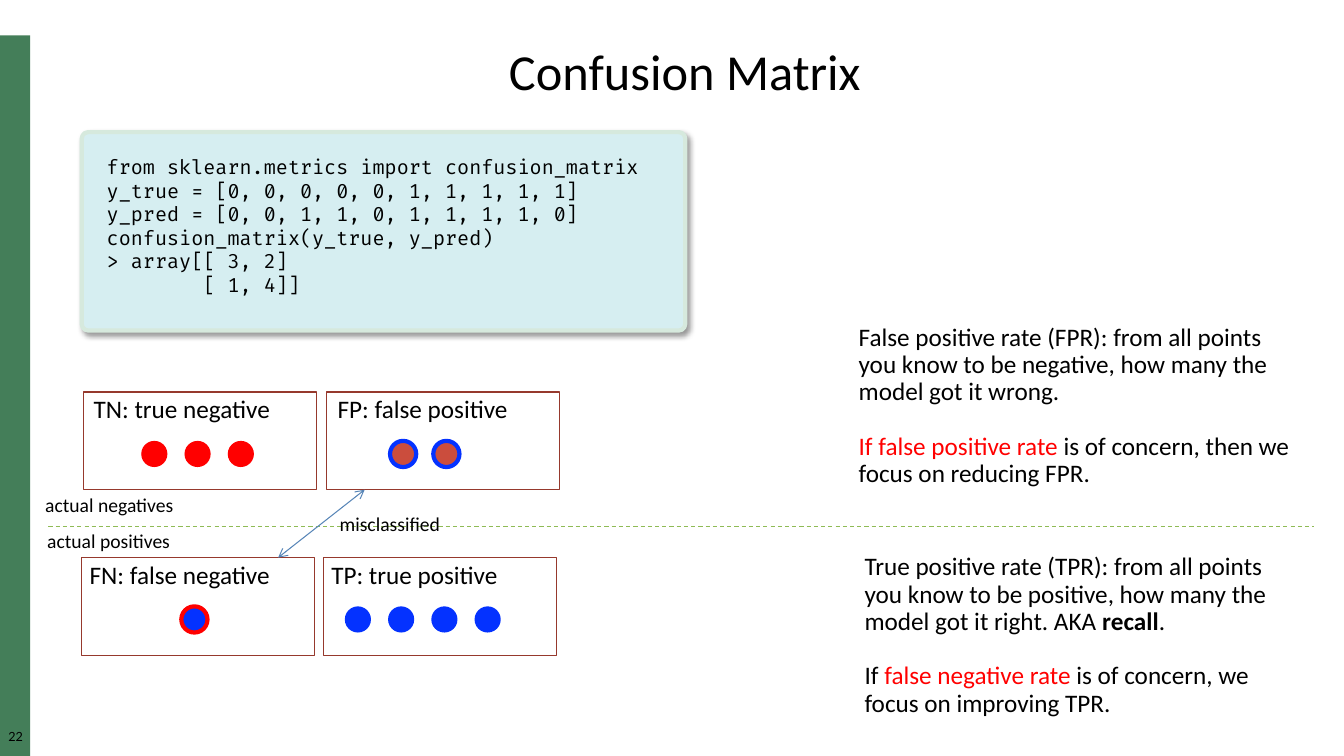
"""Build the confusion matrix slide."""
from dataclasses import dataclass

from lxml.etree import SubElement
from pptx import Presentation
from pptx.dml.color import RGBColor
from pptx.enum.dml import MSO_LINE
from pptx.enum.shapes import MSO_CONNECTOR, MSO_SHAPE
from pptx.enum.text import MSO_ANCHOR, PP_ALIGN
from pptx.oxml.ns import qn
from pptx.util import Cm, Pt


@dataclass(frozen=True)
class Theme:
    black: str = "000000"
    red: str = "FF0000"
    blue: str = "0432FF"
    brick: str = "CB4D3D"
    side_bar: str = "447E59"
    code_fill: str = "D6EEF1"
    code_edge: str = "D6E9DD"
    cell_edge: str = "96392D"
    divider: str = "8FBB55"
    arrow: str = "5785B7"
    body_font: str = "Calibri"
    code_font: str = "Fira Code"
    number_font: str = "Lato"
    title_size: float = 36
    body_size: float = 18
    small_size: float = 14
    number_size: float = 9
    paragraph_gap: float = 19.5
    thick: float = 3
    thin: float = 0.75
    cell_line: float = 0.85


@dataclass(frozen=True)
class Box:
    left: float
    top: float
    width: float
    height: float

    def lengths(self) -> tuple:
        return Cm(self.left), Cm(self.top), Cm(self.width), Cm(self.height)


@dataclass(frozen=True)
class Phrase:
    text: str
    color: str = Theme.black
    bold: bool = False


@dataclass(frozen=True)
class Outcome:
    label: str
    left: float
    top: float
    label_shift: float
    first_dot: float
    dots: int
    dot_fill: str
    dot_edge: str | None = None


@dataclass(frozen=True)
class Note:
    text: str
    left: float
    top: float


@dataclass(frozen=True)
class Rate:
    box: Box
    paragraphs: tuple[tuple[Phrase, ...], ...]


THEME = Theme()
CELL_WIDTH, CELL_HEIGHT = 5.87, 2.46
DOT_SIZE, DOT_PITCH, DOT_DROP = 0.66, 1.09, 1.23
CODE = """from sklearn.metrics import confusion_matrix
y_true = [0, 0, 0, 0, 0, 1, 1, 1, 1, 1]
y_pred = [0, 0, 1, 1, 0, 1, 1, 1, 1, 0]
confusion_matrix(y_true, y_pred)
> array[[ 3, 2]
        [ 1, 4]]"""
OUTCOMES = (
    Outcome("TN: true negative", 2.11, 9.88, 0, 3.56, 3, THEME.red),
    Outcome("FP: false positive", 8.23, 9.88, 0.03, 9.83, 2, THEME.brick, THEME.blue),
    Outcome("FN: false negative", 2.06, 14.05, -0.05, 4.57, 1, THEME.blue, THEME.red),
    Outcome("TP: true positive", 8.15, 14.05, -0.05, 8.69, 4, THEME.blue),
)
NOTES = (
    Note("actual negatives", 0.89, 12.37),
    Note("actual positives", 0.94, 13.26),
    Note("misclassified", 8.31, 12.83),
)
RATES = (
    Rate(Box(21.39, 8.05, 11.58, 4.42), (
        (Phrase("False positive rate (FPR): from all points you know to be negative, "
                "how many the model got it wrong."),),
        (Phrase("If false positive rate ", THEME.red),
         Phrase("is of concern, then we focus on reducing FPR.")),
    )),
    Rate(Box(21.54, 13.84, 11.58, 4.42), (
        (Phrase("True positive rate (TPR): from all points you know to be positive, "
                "how many the model got it right. AKA "),
         Phrase("recall", bold=True), Phrase(".")),
        (Phrase("If "), Phrase("false negative rate", THEME.red),
         Phrase(" is of concern, we focus on improving TPR.")),
    )),
)


def style_font(font, size: float, name: str = THEME.body_font,
               color: str = THEME.black, bold: bool = False) -> None:
    font.size, font.name, font.bold = Pt(size), name, bold
    font.color.rgb = RGBColor.from_string(color)


def style_frame(frame, size: float, name: str = THEME.body_font, spacing: float = 0.9,
                align: PP_ALIGN = PP_ALIGN.LEFT) -> None:
    frame.word_wrap = True
    for paragraph in frame.paragraphs:
        paragraph.line_spacing, paragraph.alignment = spacing, align
        for run in paragraph.runs:
            style_font(run.font, size, name)


def add_text(slide, text: str, box: Box, size: float, **style):
    frame = slide.shapes.add_textbox(*box.lengths()).text_frame
    frame.text = text
    style_frame(frame, size, **style)
    return frame


def add_figure(slide, kind: MSO_SHAPE, box: Box, fill: str | None = None,
               edge: str | None = None, weight: float = 0):
    figure = slide.shapes.add_shape(kind, *box.lengths())
    figure.shadow.inherit = False
    if fill:
        figure.fill.solid()
        figure.fill.fore_color.rgb = RGBColor.from_string(fill)
    else:
        figure.fill.background()
    if edge:
        figure.line.color.rgb = RGBColor.from_string(edge)
        figure.line.width = Pt(weight)
    else:
        figure.line.fill.background()
    return figure


def add_line(slide, start: tuple[float, float], end: tuple[float, float], color: str):
    connector = slide.shapes.add_connector(
        MSO_CONNECTOR.STRAIGHT, *(Cm(value) for value in start + end))
    connector.line.color.rgb = RGBColor.from_string(color)
    connector.line.width = Pt(THEME.thin)
    SubElement(connector._element.spPr, qn("a:effectLst"))
    return connector


def add_code(slide) -> None:
    panel = add_figure(slide, MSO_SHAPE.ROUNDED_RECTANGLE, Box(2.06, 3.33, 15.21, 5),
                       THEME.code_fill, THEME.code_edge, THEME.thick)
    panel.adjustments[0] = 0.033
    effects = panel._element.spPr.find(qn("a:effectLst"))
    shadow = SubElement(effects, qn("a:outerShdw"), blurRad=str(Pt(4)), dist=str(Pt(3)),
                        dir="2700000", algn="tl", rotWithShape="0")
    tint = SubElement(shadow, qn("a:srgbClr"), val=THEME.black)
    SubElement(tint, qn("a:alpha"), val="40000")
    add_text(slide, CODE, Box(2.44, 3.78, 14.25, 4.39), THEME.small_size,
             name=THEME.code_font, spacing=1.0)


def add_outcome(slide, outcome: Outcome) -> None:
    add_figure(slide, MSO_SHAPE.RECTANGLE,
               Box(outcome.left, outcome.top, CELL_WIDTH, CELL_HEIGHT),
               edge=THEME.cell_edge, weight=THEME.cell_line)
    add_text(slide, outcome.label,
             Box(outcome.left + outcome.label_shift, outcome.top, 5.4, 0.94),
             THEME.body_size)
    for index in range(outcome.dots):
        dot = Box(outcome.first_dot + index * DOT_PITCH, outcome.top + DOT_DROP,
                  DOT_SIZE, DOT_SIZE)
        add_figure(slide, MSO_SHAPE.OVAL, dot, outcome.dot_fill, outcome.dot_edge,
                   THEME.thick)


def add_rate(slide, rate: Rate) -> None:
    frame = slide.shapes.add_textbox(*rate.box.lengths()).text_frame
    for index, phrases in enumerate(rate.paragraphs):
        paragraph = frame.add_paragraph() if index else frame.paragraphs[0]
        if index:
            paragraph.space_before = Pt(THEME.paragraph_gap)
        for phrase in phrases:
            run = paragraph.add_run()
            run.text = phrase.text
    style_frame(frame, THEME.body_size)
    for paragraph, phrases in zip(frame.paragraphs, rate.paragraphs):
        for run, phrase in zip(paragraph.runs, phrases):
            style_font(run.font, THEME.body_size, color=phrase.color, bold=phrase.bold)


def main() -> None:
    deck = Presentation()
    deck.slide_width, deck.slide_height = Cm(33.87), Cm(19.05)
    slide = deck.slides.add_slide(deck.slide_layouts[5])

    title = slide.shapes.title
    title.left, title.top, title.width, title.height = Box(1.4, 1.04, 31.72, 1.68).lengths()
    title.text_frame.text = "Confusion Matrix"
    title.text_frame.vertical_anchor = MSO_ANCHOR.MIDDLE
    style_frame(title.text_frame, THEME.title_size, align=PP_ALIGN.CENTER)

    add_figure(slide, MSO_SHAPE.RECTANGLE, Box(0, 0.89, 0.76, 18.16), THEME.side_bar)
    number = add_text(slide, "22", Box(0, 18.42, 0.79, 0.43), THEME.number_size,
                      name=THEME.number_font, align=PP_ALIGN.CENTER)
    number.margin_left = number.margin_right = number.margin_top = number.margin_bottom = 0

    add_code(slide)
    for outcome in OUTCOMES:
        add_outcome(slide, outcome)
    divider = add_line(slide, (1.22, 13.26), (33.12, 13.26), THEME.divider)
    divider.line.dash_style = MSO_LINE.DASH
    swap = add_line(slide, (7.01, 14.05), (9.19, 12.34), THEME.arrow)
    for tip in ("a:headEnd", "a:tailEnd"):
        SubElement(swap.line._get_or_add_ln(), qn(tip), type="arrow")
    for note in NOTES:
        add_text(slide, note.text, Box(note.left, note.top, 4, 0.79), THEME.small_size)
    for rate in RATES:
        add_rate(slide, rate)
    deck.save("out.pptx")


if __name__ == "__main__":
    main()
